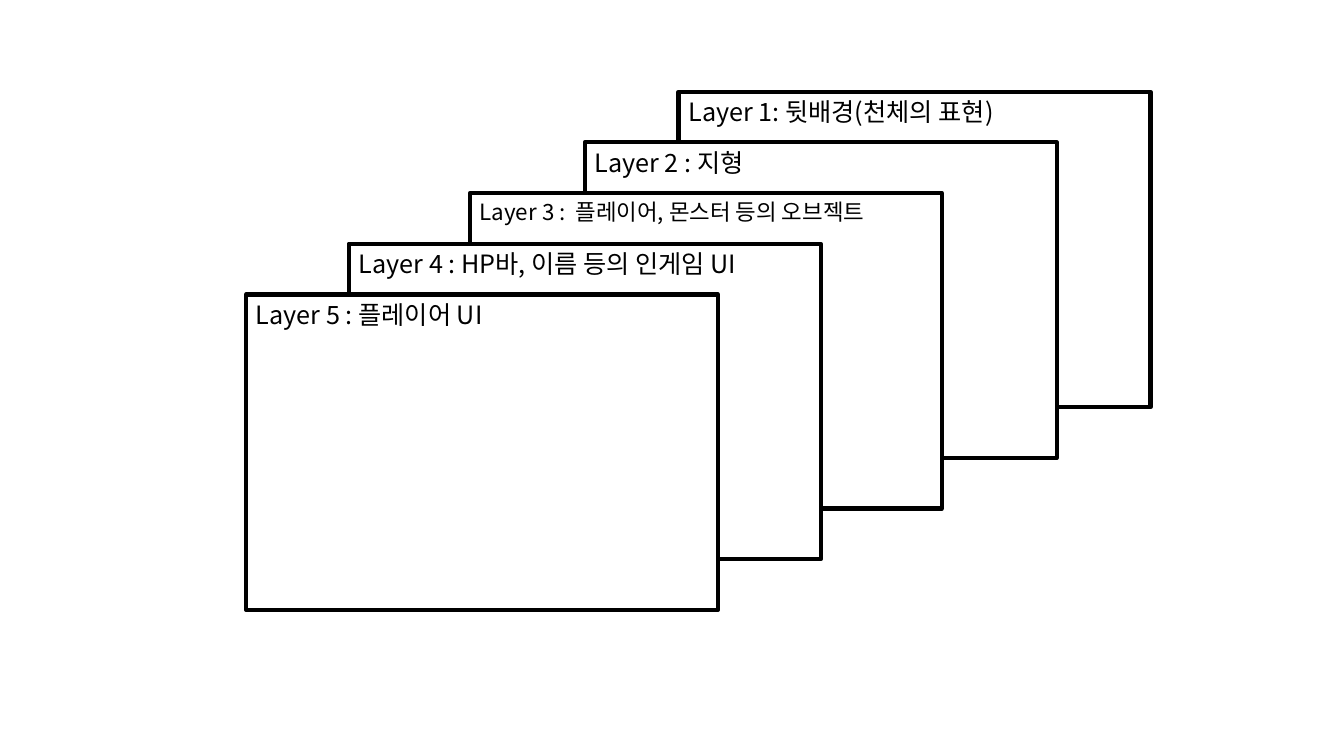
from dataclasses import dataclass

import pptx
import pptx.dml.color
import pptx.enum.shapes
import pptx.enum.text
import pptx.oxml.ns
import pptx.slide
import pptx.util
from lxml import etree
from pptx.util import Inches


@dataclass(frozen=True)
class Theme:
    font: str = "Noto Sans CJK KR"
    ink: pptx.dml.color.RGBColor = pptx.dml.color.RGBColor(0, 0, 0)
    paper: pptx.dml.color.RGBColor = pptx.dml.color.RGBColor(255, 255, 255)
    label_size: int = 18
    small_size: int = 16
    outline: int = 3


@dataclass(frozen=True)
class Layer:
    label: str
    left: float
    size: int


THEME = Theme()
LAYER_WIDTH, LAYER_HEIGHT = 4.68, 3.13
FIRST_TOP, TOP_STEP = 0.91, 0.503

# From the back of the stack to the front
LAYERS = [
    Layer("Layer 1: 뒷배경(천체의 표현)", 6.73, THEME.label_size),
    Layer("Layer 2 : 지형", 5.8, THEME.label_size),
    Layer("Layer 3 :  플레이어, 몬스터 등의 오브젝트", 4.66, THEME.small_size),
    Layer("Layer 4 : HP바, 이름 등의 인게임 UI", 3.46, THEME.label_size),
    Layer("Layer 5 : 플레이어 UI", 2.44, THEME.label_size),
]


def draw_layer(page: pptx.slide.Slide, layer: Layer, top: float) -> None:
    box = page.shapes.add_shape(
        pptx.enum.shapes.MSO_SHAPE.FLOWCHART_PROCESS,
        Inches(layer.left), Inches(top), Inches(LAYER_WIDTH), Inches(LAYER_HEIGHT),
    )
    box.shadow.inherit = False
    box.fill.solid()
    box.fill.fore_color.rgb = THEME.paper
    box.line.color.rgb = THEME.ink
    box.line.width = pptx.util.Pt(THEME.outline)

    frame = box.text_frame
    frame.word_wrap = True
    frame.vertical_anchor = pptx.enum.text.MSO_ANCHOR.TOP
    para = frame.paragraphs[0]
    para.text = layer.label
    para.alignment = pptx.enum.text.PP_ALIGN.LEFT
    para.font.size = pptx.util.Pt(layer.size)
    para.font.color.rgb = THEME.ink
    para.font.name = THEME.font
    # Hangul takes its typeface from a:ea, next to the Latin one
    latin = para._p.find(".//" + pptx.oxml.ns.qn("a:latin"))
    east_asian = etree.Element(pptx.oxml.ns.qn("a:ea"), typeface=THEME.font)
    latin.addnext(east_asian)


def main() -> None:
    deck = pptx.Presentation()
    deck.slide_width, deck.slide_height = Inches(13.33), Inches(7.5)
    page = deck.slides.add_slide(deck.slide_layouts.get_by_name("Blank"))
    for depth, layer in enumerate(LAYERS):
        draw_layer(page, layer, FIRST_TOP + depth * TOP_STEP)
    deck.save("out.pptx")


if __name__ == "__main__":
    main()
